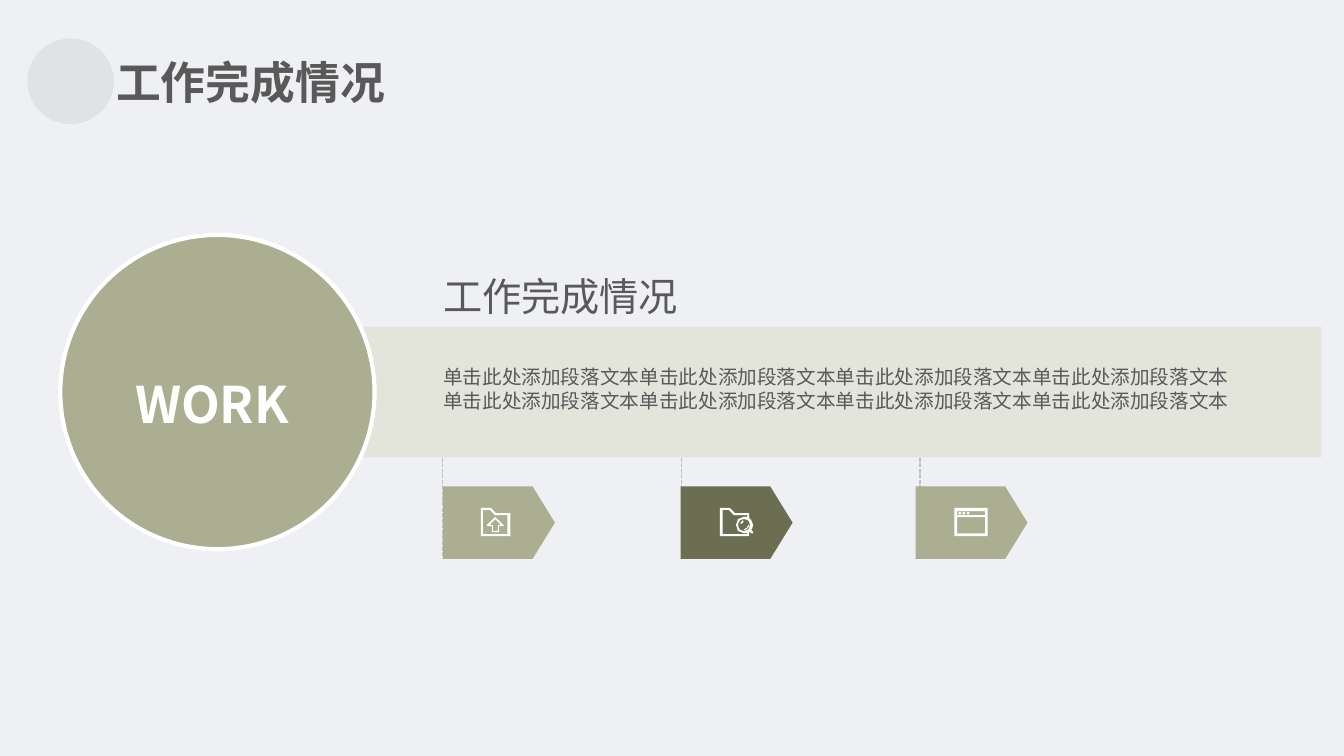
import math

from lxml import etree
from pptx import Presentation
from pptx.dml.color import RGBColor
from pptx.enum.dml import MSO_LINE
from pptx.enum.shapes import MSO_CONNECTOR, MSO_SHAPE
from pptx.enum.text import MSO_ANCHOR, MSO_AUTO_SIZE, PP_ALIGN
from pptx.oxml.ns import qn
from pptx.util import Cm, Pt

OVAL = MSO_SHAPE.OVAL
RECTANGLE = MSO_SHAPE.RECTANGLE
PENTAGON = MSO_SHAPE.FLOWCHART_OFFPAGE_CONNECTOR
STRAIGHT = MSO_CONNECTOR.STRAIGHT
DASH = MSO_LINE.SQUARE_DOT
LEFT, CENTER, JUSTIFY = PP_ALIGN.LEFT, PP_ALIGN.CENTER, PP_ALIGN.JUSTIFY
TOP, BOTTOM = MSO_ANCHOR.TOP, MSO_ANCHOR.BOTTOM
GROW, FIXED = MSO_AUTO_SIZE.SHAPE_TO_FIT_TEXT, MSO_AUTO_SIZE.NONE

PALE = RGBColor(0xEE, 0xF0, 0xF4)
SAGE = RGBColor(0xAB, 0xAE, 0x91)
OLIVE = RGBColor(0x6B, 0x6E, 0x51)
SAND = RGBColor(0xE3, 0xE4, 0xDA)
SILVER = RGBColor(0xBF, 0xBF, 0xBF)
GRAY = RGBColor(0x59, 0x59, 0x59)
WHITE = RGBColor(0xFF, 0xFF, 0xFF)

HEADING = "工作完成情况"
LINE_RATIO = 1.21


# Icon outlines, in hundredths of a centimetre
def rectangle(left, top, right, bottom):
    return [(left, top), (right, top), (right, bottom), (left, bottom)]


def circle(x, y, radius, steps=24):
    angles = [2 * math.pi * step / steps for step in range(steps)]
    return [(x + radius * math.cos(a), y + radius * math.sin(a)) for a in angles]


UPLOAD_ICON = [
    [(0, 0), (25, 0), (38, 13), (74, 13), (74, 71), (0, 71)],
    [(5, 5), (23, 5), (35, 18), (67, 18), (67, 66), (5, 66)],
    [(15, 43), (36, 23), (57, 43), (57, 46), (46, 46), (46, 61),
     (28, 61), (28, 46), (15, 46)],
    [(36, 28), (51, 43), (43, 43), (43, 58), (30, 58), (30, 43), (22, 43)],
]
SEARCH_ICON = [
    [(0, 0), (25, 0), (38, 13), (74, 13), (74, 25), (80, 32), (84, 43),
     (82, 51), (79, 56), (84, 60), (84, 64), (79, 64), (74, 59), (74, 71), (0, 71)],
    [(7, 5), (23, 5), (35, 18), (69, 18), (69, 23), (61, 22), (46, 28),
     (41, 43), (46, 58), (61, 64), (69, 63), (69, 66), (7, 66)],
    circle(61, 43, 15),
    [(51, 38), (58, 31), (60, 35), (55, 40)],
    [(61, 54), (68, 50), (72, 43), (74, 45), (70, 52), (63, 56)],
]
WINDOW_ICON = [
    rectangle(0, 0, 84, 71),
    rectangle(7, 8, 78, 18),
    rectangle(7, 23, 78, 64),
] + [circle(x, 13, 3.5) for x in (14, 24, 35)]


class Slide:
    font = "Noto Sans CJK SC"

    def __init__(self, deck):
        self.page = deck.slides.add_slide(deck.slide_layouts[5])
        self.page.background.fill.solid()
        self.page.background.fill.fore_color.rgb = PALE

    def paint(self, shape, color):
        shape.shadow.inherit = False
        shape.fill.solid()
        shape.fill.fore_color.rgb = color
        shape.line.fill.background()
        return shape

    def shape(self, kind, left, top, width, height, color):
        box = self.page.shapes.add_shape(
            kind, Cm(left), Cm(top), Cm(width), Cm(height))
        return self.paint(box, color)

    def set_words(self, box, words, size, color=GRAY, bold=False, align=LEFT):
        frame = box.text_frame
        frame.text = words
        frame.word_wrap = True
        frame.auto_size = GROW
        frame.vertical_anchor = TOP
        para = frame.paragraphs[0]
        para.alignment = align
        para.line_spacing = Pt(round(size * LINE_RATIO))
        para.space_before = Pt(0)
        span = para.runs[0]
        span.font.name = self.font
        span.font.size = Pt(size)
        span.font.bold = bold
        span.font.color.rgb = color
        east_asian = etree.SubElement(span.font._element, qn("a:ea"))
        east_asian.set("typeface", self.font)
        return box

    def title(self, words, left, top, width, height):
        box = self.page.shapes.title
        box.left, box.top = Cm(left), Cm(top)
        box.width, box.height = Cm(width), Cm(height)
        self.set_words(box, words, 32, bold=True, align=JUSTIFY)

    def text(self, words, left, top, width, height, size, **style):
        box = self.page.shapes.add_textbox(
            Cm(left), Cm(top), Cm(width), Cm(height))
        return self.set_words(box, words, size, **style)

    def dashed_line(self, x, top, bottom):
        line = self.page.shapes.add_connector(
            STRAIGHT, Cm(x), Cm(top), Cm(x), Cm(bottom))
        line.line.color.rgb = SILVER
        line.line.width = Pt(1)
        line.line.dash_style = DASH
        etree.SubElement(line._element.spPr, qn("a:effectLst"))

    def arrow(self, left, color):
        self.shape(PENTAGON, left, 11.76, 1.83, 2.82, color).rotation = 270

    def icon(self, outlines, left, top):
        first, *others = outlines
        builder = self.page.shapes.build_freeform(*first[0], scale=Cm(0.01))
        builder.add_line_segments(first[1:], close=True)
        for outline in others:
            builder.move_to(*outline[0])
            builder.add_line_segments(outline[1:], close=True)
        self.paint(builder.convert_to_shape(Cm(left), Cm(top)), WHITE)


def main():
    deck = Presentation()
    deck.slide_width, deck.slide_height = Cm(33.87), Cm(19.05)
    slide = Slide(deck)

    # Title with its faint dot
    slide.title(HEADING, 2.67, 1.22, 9.14, 1.63)
    dot = slide.shape(OVAL, 0.69, 0.97, 2.18, 2.16, OLIVE)
    color = dot._element.spPr.find(qn("a:solidFill"))[0]
    etree.SubElement(color, qn("a:alpha")).set("val", "10000")

    # Band and large circle
    slide.arrow(11.66, SAGE)
    slide.shape(RECTANGLE, 8.64, 8.23, 24.66, 3.3, SAND)
    disc = slide.shape(OVAL, 1.52, 5.92, 7.92, 7.92, SAGE)
    disc.line.color.rgb = WHITE
    disc.line.width = Pt(3)

    # Dashed lines, arrows and icons
    for index in range(3):
        slide.dashed_line(11.15 + 6.02 * index, 11.53, 14.07)
    slide.arrow(17.65, OLIVE)
    slide.arrow(23.57, SAGE)
    slide.icon(WINDOW_ICON, 24.05, 12.8)
    slide.icon(UPLOAD_ICON, 12.12, 12.8)
    slide.icon(SEARCH_ICON, 18.14, 12.8)

    # Texts
    slide.text(HEADING, 10.92, 6.73, 10.08, 1.45, 28)
    slide.text("单击此处添加段落文本" * 8, 10.92, 9.07, 20.78, 1.45, 14)
    label = slide.text("WORK", 2.59, 9.75, 5.51, 1.17, 36,
                       color=WHITE, bold=True, align=CENTER).text_frame
    label.margin_left = label.margin_right = 0
    label.margin_top = label.margin_bottom = 0
    label.word_wrap = False
    label.auto_size = FIXED
    label.vertical_anchor = BOTTOM

    deck.save("out.pptx")


if __name__ == "__main__":
    main()
